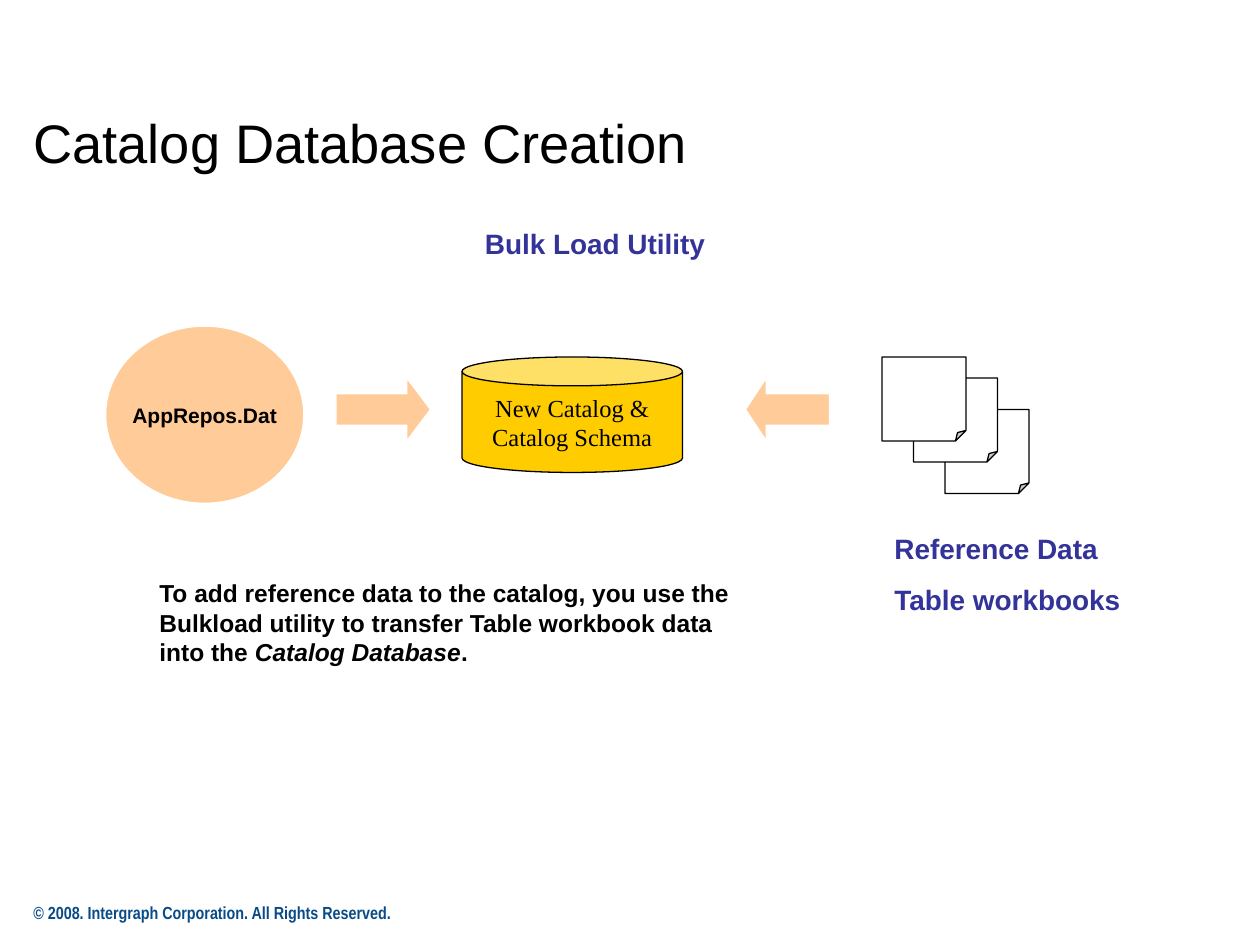
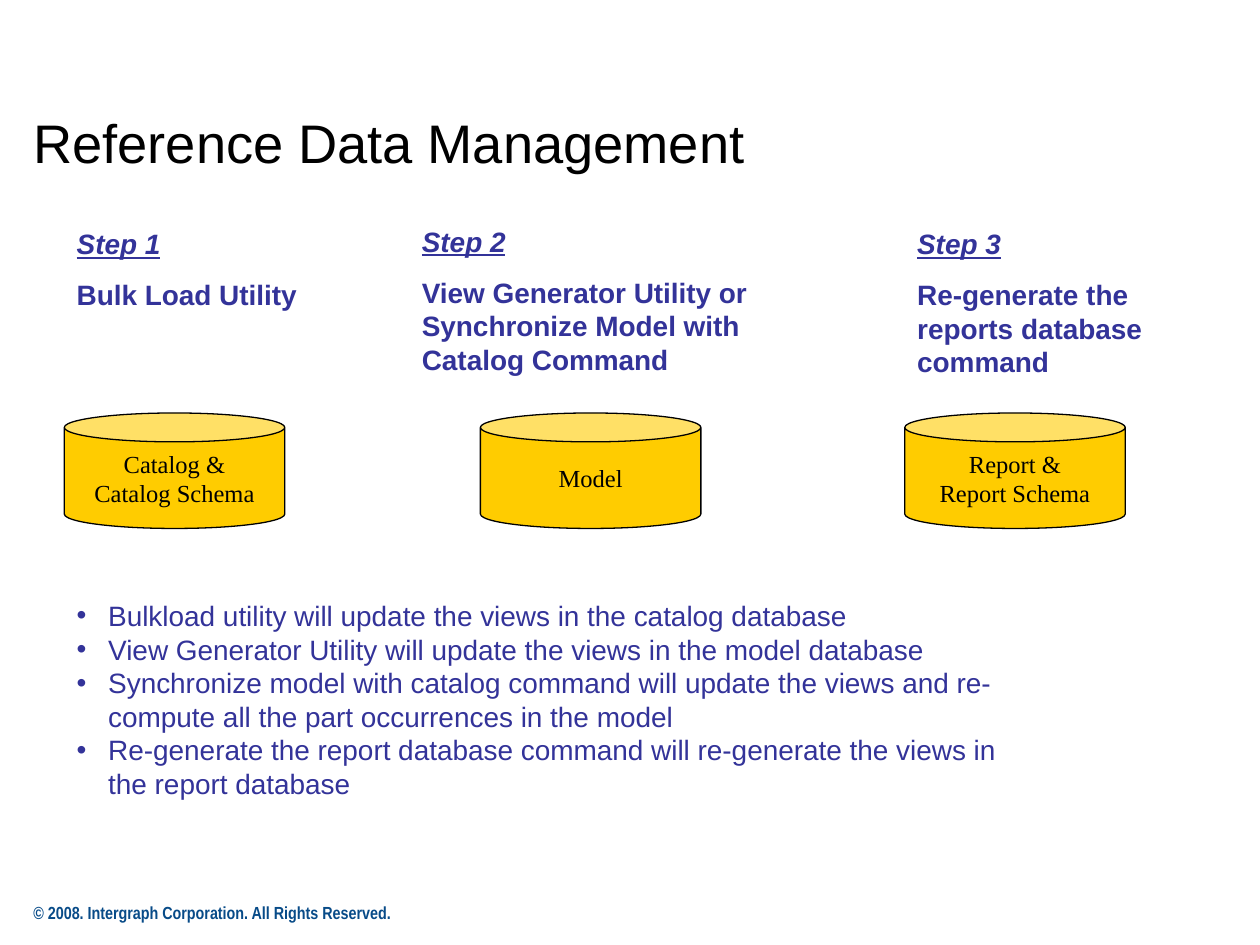
from lxml import etree
from pptx import Presentation
from pptx.dml.color import RGBColor
from pptx.enum.shapes import MSO_SHAPE as Shape
from pptx.enum.text import MSO_ANCHOR as Anchor, PP_ALIGN as Align
from pptx.oxml.ns import qn
from pptx.util import Pt

COLORS = {
    "black": "000000",
    "white": "FFFFFF",
    "heading": "333399",
    "footer": "084B88",
    "peach": "FFCC99",
    "gold": "FFCC00",
}
CAN_WIDTH, CAN_HEIGHT = 126, 66
HEADING = {"size": 16, "color": "heading", "bold": True, "space_before": 10}


def rgb(name):
    return RGBColor.from_string(COLORS[name])


def add_bullet(paragraph):
    properties = paragraph._p.get_or_add_pPr()
    properties.set("marL", str(Pt(18)))
    properties.set("indent", str(-Pt(18)))
    bullet_color = etree.SubElement(properties, qn("a:buClr"))
    etree.SubElement(bullet_color, qn("a:srgbClr"), val=COLORS["heading"])
    etree.SubElement(properties, qn("a:buFont"), typeface="Arial")
    etree.SubElement(properties, qn("a:buChar"), char="•")


def write_text(shape, paragraphs, size=14, name="Arial", color="black", bold=False,
               align=Align.LEFT, anchor=Anchor.TOP, wrap=True, space_before=0, bullets=False):
    """Each paragraph is a string, or a list of (text, is_italic, is_underlined) runs."""
    frame = shape.text_frame
    frame.word_wrap = wrap
    frame.vertical_anchor = anchor
    for index, content in enumerate(paragraphs):
        paragraph = frame.add_paragraph() if index else frame.paragraphs[0]
        if bullets:
            add_bullet(paragraph)
        paragraph.alignment = align
        if index and space_before:
            paragraph.space_before = Pt(space_before)
        runs = [(content, False, False)] if isinstance(content, str) else content
        for text, italic, underline in runs:
            run = paragraph.add_run()
            run.text = text
            font = run.font
            font.size, font.name, font.bold = Pt(size), name, bold
            font.italic, font.underline = italic, underline
            font.color.rgb = rgb(color)


def add_text(slide, box, paragraphs, **text_format):
    write_text(slide.shapes.add_textbox(*map(Pt, box)), paragraphs, **text_format)


def add_shape(slide, kind, box, fill, line, line_width=0.75, adjustments=()):
    shape = slide.shapes.add_shape(kind, *map(Pt, box))
    shape.shadow.inherit = False
    shape.fill.solid()
    shape.fill.fore_color.rgb = rgb(fill)
    shape.line.color.rgb = rgb(line)
    shape.line.width = Pt(line_width)
    for index, value in enumerate(adjustments):
        shape.adjustments[index] = value
    return shape


def add_page(slide, left, top):
    page = add_shape(slide, Shape.FOLDED_CORNER, (left, top, 48, 48), "white", "black")
    # The library lists no adjustment for this preset, so the fold size is set in XML
    guides = page._element.spPr.find(qn("a:prstGeom")).find(qn("a:avLst"))
    etree.SubElement(guides, qn("a:gd"), name="adj", fmla="val 12500")


def add_database(slide, left, top, lines):
    can = add_shape(slide, Shape.CAN, (left, top, CAN_WIDTH, CAN_HEIGHT),
                    "gold", "black", adjustments=[0.25])
    write_text(can, lines, name="Times New Roman", align=Align.CENTER,
               anchor=Anchor.MIDDLE, wrap=False)


def add_base_slide(presentation, title):
    slide = presentation.slides.add_slide(presentation.slide_layouts[6])
    add_text(slide, (12, 512, 378, 24),
             ["© 2008. Intergraph Corporation. All Rights Reserved."],
             size=10, name="Arial Narrow", color="footer", bold=True)
    add_text(slide, (12, 36, 534, 90), [title], size=31, anchor=Anchor.MIDDLE)
    return slide


def add_load_flow(slide, left, top):
    # Source repository
    repository = add_shape(slide, Shape.OVAL, (left, top, 114, 102), "peach", "white", 1.5)
    write_text(repository, ["AppRepos.Dat"], size=12, bold=True, align=Align.CENTER,
               anchor=Anchor.MIDDLE, wrap=False)
    # Arrows that point at the database from both sides
    for kind, offset, width, head in ((Shape.RIGHT_ARROW, 132, 54, 0.375),
                                      (Shape.LEFT_ARROW, 366, 48, 0.33)):
        add_shape(slide, kind, (left + offset, top + 30, width, 36),
                  "peach", "white", adjustments=[0.5, head])
    add_database(slide, left + 204, top + 18, ["New Catalog &", "Catalog Schema"])
    # Stack of workbooks, rearmost first
    for x, y in ((480, 48), (462, 30), (444, 18)):
        add_page(slide, left + x, top + y)


def add_step(slide, left, top, width, number, action):
    add_text(slide, (left, top, width, 94),
             [[(f"Step {number}", True, True)], action], **HEADING)


def build_creation_slide(presentation):
    slide = add_base_slide(presentation, "Catalog Database Creation")
    add_text(slide, (270, 126, 156, 27), ["Bulk Load Utility"], **HEADING)
    add_load_flow(slide, 60, 186)
    add_text(slide, (504, 300, 156, 55), ["Reference Data", "Table workbooks"], **HEADING)
    add_text(slide, (84, 327, 360, 58), [[
        ("To add reference data to the catalog, you use the Bulkload utility to transfer "
         "Table workbook data into the ", False, False),
        ("Catalog Database", True, False),
        (".", False, False),
    ]], bold=True)


def build_management_slide(presentation):
    slide = add_base_slide(presentation, "Reference Data Management")
    # Steps: text left, text top, text width, action, database left, database lines
    steps = [
        (36.75, 126, 156, "Bulk Load Utility", 36.75, ["Catalog &", "Catalog Schema"]),
        (234, 124.5, 216,
         "View Generator Utility or Synchronize Model with Catalog Command",
         274.5, ["Model"]),
        (517, 126, 156, "Re-generate the reports database command",
         517, ["Report &", "Report Schema"]),
    ]
    for number, (left, top, width, action, database_left, lines) in enumerate(steps, 1):
        add_step(slide, left, top, width, number, action)
        add_database(slide, database_left, 236, lines)
    # Effects of each command
    add_text(slide, (36.75, 338.5, 544, 122), [
        "Bulkload utility will update the views in the catalog database",
        "View Generator Utility will update the views in the model database",
        "Synchronize model with catalog command will update the views and re-compute "
        "all the part occurrences in the model",
        "Re-generate the report database command will re-generate the views in the "
        "report database",
    ], size=16, color="heading", bullets=True)


def main():
    presentation = Presentation()
    presentation.slide_width, presentation.slide_height = Pt(720), Pt(540)
    build_creation_slide(presentation)
    build_management_slide(presentation)
    presentation.save("out.pptx")


if __name__ == "__main__":
    main()
